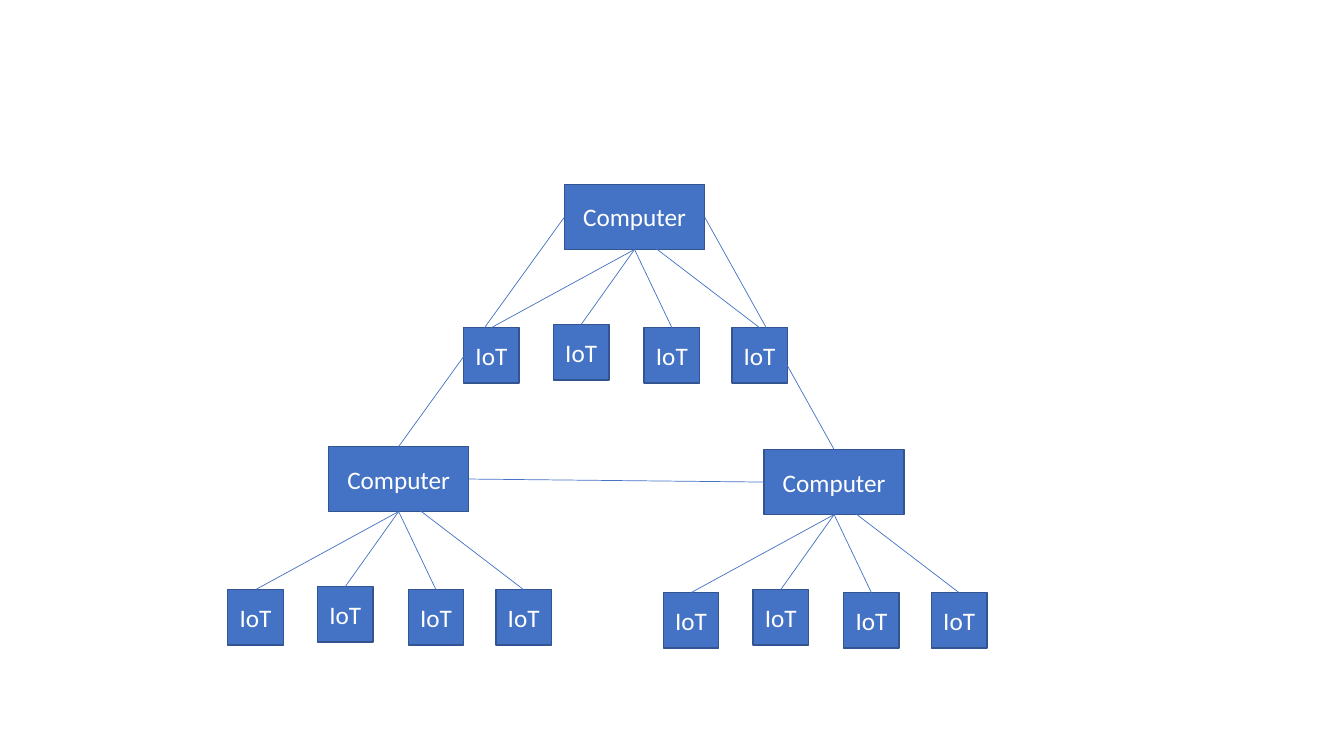
from lxml import etree
from pptx import Presentation
from pptx.dml.color import RGBColor
from pptx.enum.shapes import MSO_CONNECTOR, MSO_SHAPE
from pptx.enum.text import MSO_ANCHOR, PP_ALIGN
from pptx.oxml.ns import qn
from pptx.util import Inches, Pt

RECTANGLE = MSO_SHAPE.RECTANGLE
STRAIGHT = MSO_CONNECTOR.STRAIGHT
MIDDLE = MSO_ANCHOR.MIDDLE
CENTER = PP_ALIGN.CENTER

# Connection sites of a rectangle
TOP, LEFT, BOTTOM, RIGHT = range(4)

# Lengths below are in columns and rows of a grid of tenth-inch cells
CELL = 0.1
COLUMNS, ROWS = 133.33, 75
COMPUTER_SIZE = (13.9, 6.45)
DEVICE_SIZE = (5.5, 5.5)
# Device corners and the last spoke's start, relative to the computer's corner
DEVICE_OFFSETS = [(-10, 14.2), (-1.1, 13.9), (7.9, 14.2), (16.6, 14.2)]
LAST_SPOKE_START = (7.9, 5.45)


def color(hex_string):
    return RGBColor.from_string(hex_string)


def cells(count):
    return Inches(count * CELL)


class NetworkSlide:
    font = "Calibri"
    font_size = 18
    fill = "4472C4"
    border = "325491"
    text_color = "FFFFFF"
    border_width = 1
    link_width = 0.5

    def __init__(self, presentation):
        self.slide = presentation.slides.add_slide(presentation.slide_layouts[6])

    def box(self, shapes, text, column, row, size):
        shape = shapes.add_shape(
            RECTANGLE, cells(column), cells(row), *map(cells, size))
        shape.shadow.inherit = False
        shape.fill.solid()
        shape.fill.fore_color.rgb = color(self.fill)
        shape.line.color.rgb = color(self.border)
        shape.line.width = Pt(self.border_width)
        frame = shape.text_frame
        frame.word_wrap = True
        frame.vertical_anchor = MIDDLE
        paragraph = frame.paragraphs[0]
        paragraph.alignment = CENTER
        run = paragraph.add_run()
        run.text = text
        run.font.name = self.font
        run.font.size = Pt(self.font_size)
        run.font.color.rgb = color(self.text_color)
        return shape

    def link(self, shapes, source, source_site, target, target_site, start=None):
        """Join two boxes; start, if given, is a free point replacing the source."""
        column, row = start or (0, 0)
        connector = shapes.add_connector(
            STRAIGHT, cells(column), cells(row), cells(column), cells(row))
        if start is None:
            connector.begin_connect(source, source_site)
        connector.end_connect(target, target_site)
        connector.line.color.rgb = color(self.fill)
        connector.line.width = Pt(self.link_width)
        properties = connector._element.spPr
        etree.SubElement(properties, qn("a:effectLst"))

    def cluster(self, column, row):
        """Draw a computer with its four devices and return the computer."""
        shapes = self.slide.shapes.add_group_shape().shapes
        computer = self.box(shapes, "Computer", column, row, COMPUTER_SIZE)
        devices = [
            self.box(shapes, "IoT", column + across, row + down, DEVICE_SIZE)
            for across, down in DEVICE_OFFSETS
        ]
        for device in devices[:-1]:
            self.link(shapes, computer, BOTTOM, device, TOP)
        across, down = LAST_SPOKE_START
        self.link(shapes, computer, BOTTOM, devices[-1], TOP,
                  start=(column + across, row + down))
        return computer


def main():
    presentation = Presentation()
    presentation.slide_width = cells(COLUMNS)
    presentation.slide_height = cells(ROWS)

    network = NetworkSlide(presentation)
    left = network.cluster(32.6, 44.3)
    right = network.cluster(75.8, 44.6)
    top = network.cluster(56, 18.3)

    shapes = network.slide.shapes
    network.link(shapes, top, LEFT, left, TOP)
    network.link(shapes, right, LEFT, left, RIGHT)
    network.link(shapes, top, RIGHT, right, TOP)

    presentation.save("out.pptx")


if __name__ == "__main__":
    main()
